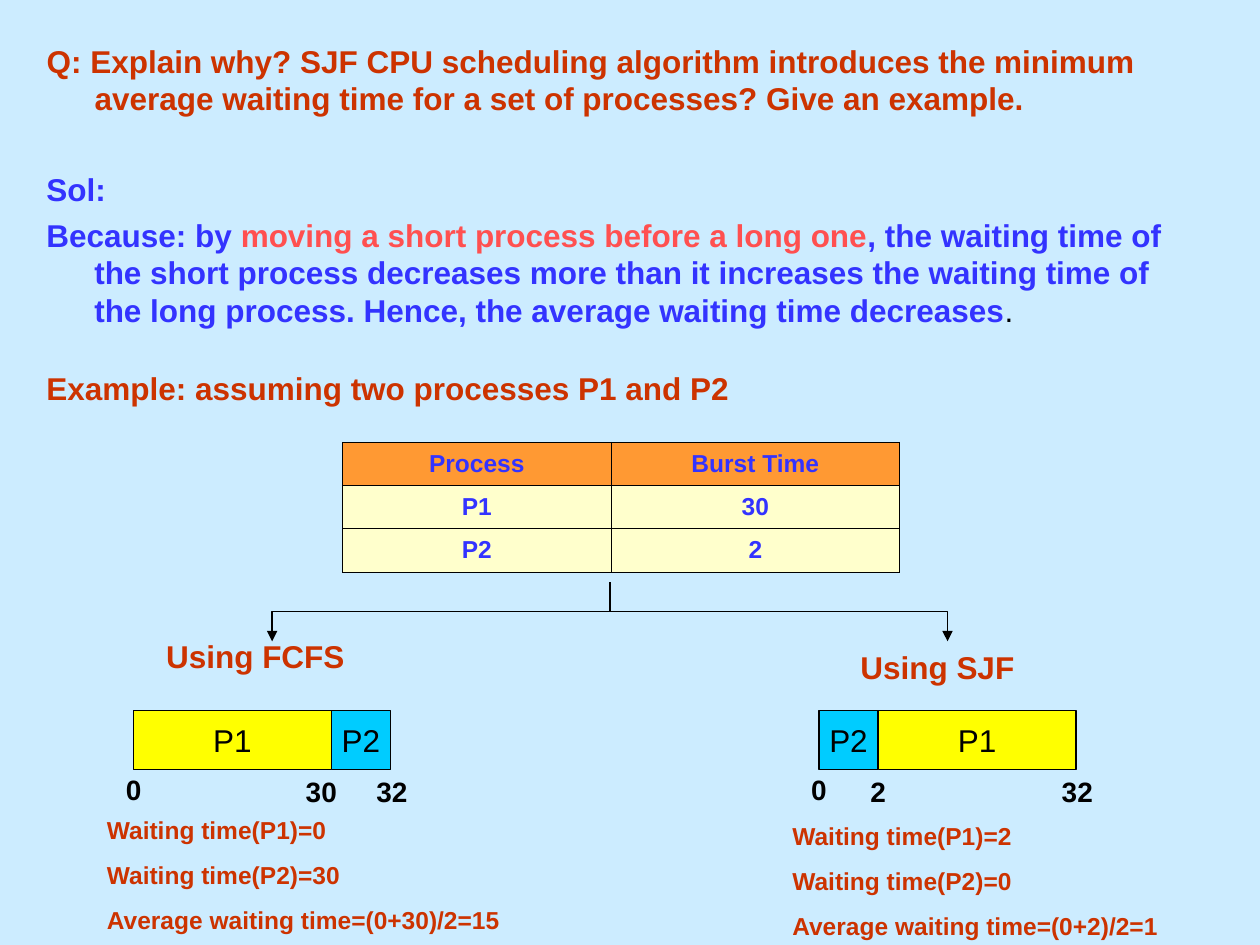
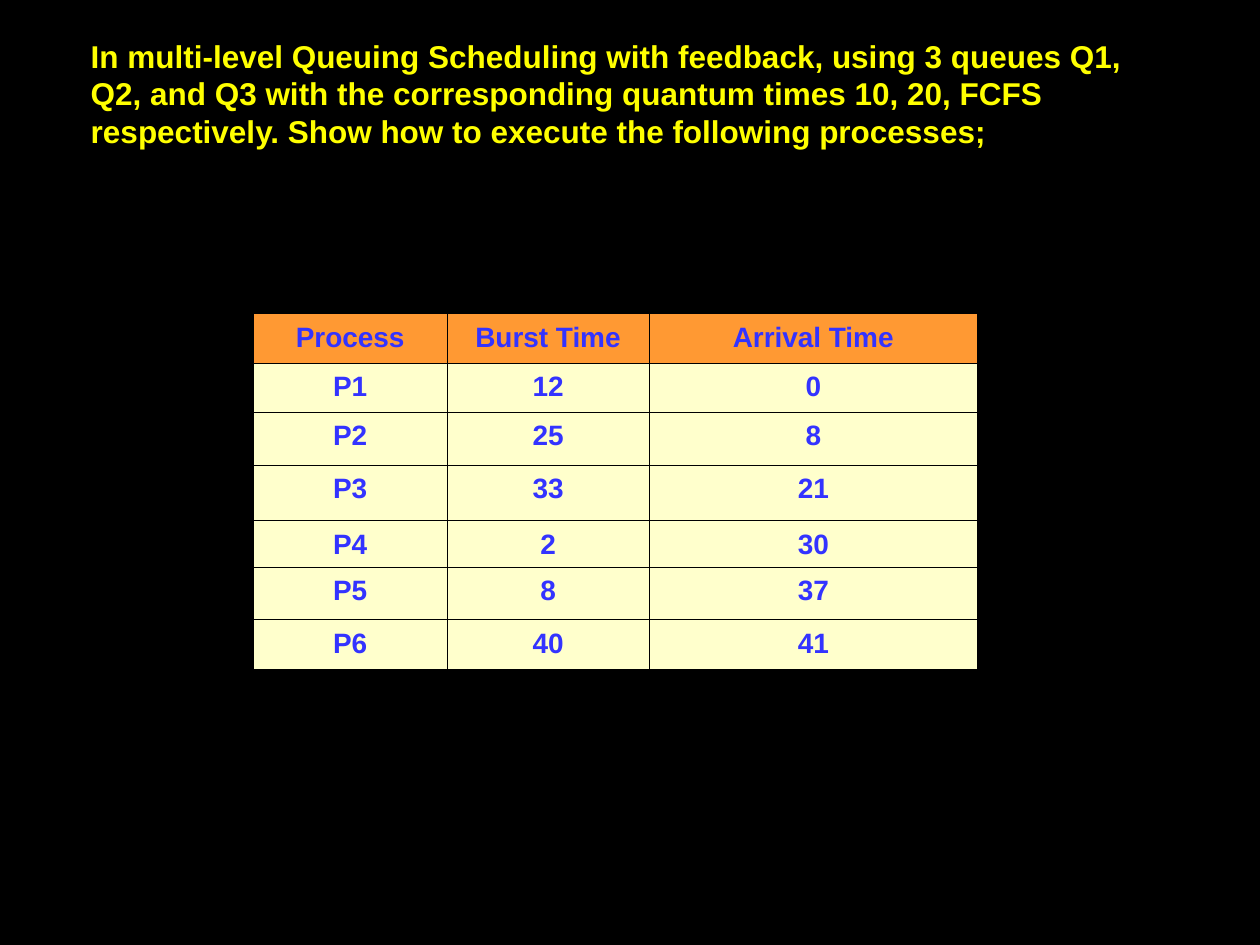
from pptx import Presentation
from pptx import util as u
from pptx.dml import color
from pptx.enum import shapes, text
from pptx.oxml import ns
from lxml import etree

FONT = "Arial"
BLACK, RUST, BLUE, CORAL = "000000", "CC3300", "3333FF", "FF5050"
YELLOW, CYAN, ORANGE, CREAM = "FFFF00", "00CCFF", "FF9933", "FFFFCC"
SKY = "CCECFF"
BAR_TOP, BAR_HEIGHT, MARK_WIDTH = 5.64, 0.47, 0.47
JOBS = {"P1": (1.57, YELLOW), "P2": (0.47, CYAN)}


def rgb(value):
    """Turn a hex string into a colour."""
    return color.RGBColor.from_string(value)


def box(left, top, width, height):
    """Convert a frame in inches to lengths."""
    return [u.Inches(v) for v in (left, top, width, height)]


def write(tf, *paragraphs, size=18, fill=BLACK, bold=True, align=text.PP_ALIGN.LEFT,
          gap=0, left=0, hanging=0):
    """Fill a frame with paragraphs, each a string or a list of (text, overrides) runs."""
    for i, runs in enumerate(paragraphs):
        p = tf.add_paragraph() if i else tf.paragraphs[0]
        p.alignment = align
        p.line_spacing = u.Pt(size * 1.2)
        p.space_before = u.Pt(gap if i else 0)
        if left or hanging:
            pPr = p._p.get_or_add_pPr()
            pPr.set("marL", str(u.Inches(left)))
            pPr.set("indent", str(u.Inches(-hanging)))
        for words, look in [(runs, {})] if isinstance(runs, str) else runs:
            r = p.add_run()
            r.text = words
            r.font.name, r.font.size = FONT, u.Pt(size)
            r.font.bold = look.get("bold", bold)
            r.font.color.rgb = rgb(look.get("fill", fill))


def add_text(s, frame, *paragraphs, **fmt):
    """Add a wrapping text box."""
    tf = s.shapes.add_textbox(*box(*frame)).text_frame
    tf.word_wrap = True
    write(tf, *paragraphs, **fmt)


def add_slide(prs, background, frame, question, **fmt):
    """Add a slide whose title holds the question."""
    s = prs.slides.add_slide(prs.slide_layouts[5])
    s.background.fill.solid()
    s.background.fill.fore_color.rgb = rgb(background)
    title = s.shapes.title
    title.left, title.top, title.width, title.height = box(*frame)
    tf = title.text_frame
    tf.auto_size = text.MSO_AUTO_SIZE.NONE
    tf.vertical_anchor = text.MSO_ANCHOR.TOP
    write(tf, question, **fmt)
    return s


def outline_cell(cell):
    """Draw thin black borders round a table cell."""
    tcPr = cell._tc.get_or_add_tcPr()
    for i, side in enumerate(("lnL", "lnR", "lnT", "lnB")):
        ln = etree.Element(ns.qn("a:" + side), w=str(u.Pt(0.34)))
        fill = etree.SubElement(ln, ns.qn("a:solidFill"))
        etree.SubElement(fill, ns.qn("a:srgbClr"), val=BLACK)
        tcPr.insert(i, ln)


def add_process_table(s, left, top, widths, heights, rows, size):
    """Add a table of processes with an orange heading row."""
    frame = box(left, top, sum(widths), sum(heights))
    table = s.shapes.add_table(len(rows), len(widths), *frame).table
    for column, width in zip(table.columns, widths):
        column.width = u.Inches(width)
    for i, (row, height) in enumerate(zip(rows, heights)):
        table.rows[i].height = u.Inches(height)
        for j, value in enumerate(row):
            cell = table.cell(i, j)
            cell.fill.solid()
            cell.fill.fore_color.rgb = rgb(CREAM if i else ORANGE)
            outline_cell(cell)
            write(cell.text_frame, value, size=size, fill=BLUE,
                  align=text.PP_ALIGN.CENTER)


def add_branch(s, start, end):
    """Draw a right-angled arrow down from start to end."""
    (x1, y1), (x2, y2) = start, end
    middle = (y1 + y2) / 2
    builder = s.shapes.build_freeform(u.Inches(x1), u.Inches(y1))
    points = [(x1, middle), (x2, middle), (x2, y2)]
    builder.add_line_segments([(u.Inches(x), u.Inches(y)) for x, y in points], close=False)
    sp = builder.convert_to_shape()
    sp.shadow.inherit = False
    sp.fill.background()
    sp.line.color.rgb = rgb(BLACK)
    sp.line.width = u.Pt(0.75)
    etree.SubElement(sp.line._get_or_add_ln(), ns.qn("a:tailEnd"), type="triangle")


def add_job(s, left, name):
    """Add one process bar to a schedule and return its width."""
    width, fill = JOBS[name]
    sp = s.shapes.add_shape(shapes.MSO_SHAPE.RECTANGLE,
                            *box(left, BAR_TOP, width, BAR_HEIGHT))
    sp.shadow.inherit = False
    sp.fill.solid()
    sp.fill.fore_color.rgb = rgb(fill)
    sp.line.color.rgb = rgb(BLACK)
    sp.line.width = u.Pt(0.75)
    tf = sp.text_frame
    tf.word_wrap = False
    tf.vertical_anchor = text.MSO_ANCHOR.MIDDLE
    write(tf, name, bold=False, align=text.PP_ALIGN.CENTER)
    return width


def add_schedule(s, left, order, marks, notes_top, notes):
    """Add a Gantt bar with its time marks and waiting times."""
    x = left
    for name in order:
        x += add_job(s, x, name)
    for i, (label, offset) in enumerate(marks):
        frame = (left + offset - MARK_WIDTH / 2, 6.1 if i else 6.08, MARK_WIDTH, 0.37)
        add_text(s, frame, label, size=16, align=text.PP_ALIGN.CENTER)
    add_text(s, (left - 0.31, notes_top, 3.54, 1.05), *notes, size=14, fill=RUST, gap=8.8)


def build_sjf_slide(prs):
    """Build the comparison of FCFS and SJF."""
    s = add_slide(prs, SKY, (0.27, 0.28, 9.15, 0.75),
                  "Q: Explain why? SJF CPU scheduling algorithm introduces the minimum "
                  "average waiting time for a set of processes? Give an example.",
                  fill=RUST, left=0.38, hanging=0.38)
    add_text(s, (0.27, 1.3, 9.15, 1.5), "Sol:",
             [("Because: by ", {}),
              ("moving a short process before a long one", {"fill": CORAL}),
              (", the waiting time of the short process decreases more than it increases "
               "the waiting time of the long process. Hence, the average waiting time "
               "decreases", {}),
              (".", {"fill": BLACK, "bold": False})],
             fill=BLUE, gap=4.5, left=0.38, hanging=0.38)
    add_text(s, (0.27, 2.88, 6.22, 0.4), "Example: assuming two processes P1 and P2", fill=RUST)
    add_process_table(s, 2.72, 3.51, (2.13, 2.29), (0.34, 0.34, 0.35),
                      [("Process", "Burst Time"), ("P1", "30"), ("P2", "2")], 14)
    for x in (2.16, 7.52):
        add_branch(s, (4.84, 4.62), (x, 5.09))
    add_text(s, (1.22, 5.01, 1.65, 0.4), "Using FCFS", fill=RUST)
    add_text(s, (6.73, 5.09, 1.65, 0.4), "Using SJF", fill=RUST)
    add_schedule(s, 1.06, ("P1", "P2"), [("0", 0), ("30", 1.49), ("32", 2.05)], 6.42,
                 ("Waiting time(P1)=0", "Waiting time(P2)=30",
                  "Average waiting time=(0+30)/2=15"))
    add_schedule(s, 6.5, ("P2", "P1"), [("0", 0), ("2", 0.47), ("32", 2.05)], 6.47,
                 ("Waiting time(P1)=2", "Waiting time(P2)=0",
                  "Average waiting time=(0+2)/2=1"))


def build_queue_slide(prs):
    """Build the multi-level queue exercise."""
    s = add_slide(prs, BLACK, (0.43, 0.24, 8.83, 1.07),
                  "In multi-level Queuing Scheduling with feedback, using 3 queues Q1, Q2, "
                  "and Q3 with the corresponding quantum times 10, 20, FCFS respectively. "
                  "Show how to execute the following processes;", fill=YELLOW, left=0.19)
    rows = [("Process", "Burst Time", "Arrival Time"), ("P1", "12", "0"), ("P2", "25", "8"),
            ("P3", "33", "21"), ("P4", "2", "30"), ("P5", "8", "37"), ("P6", "40", "41")]
    add_process_table(s, 2.01, 2.49, (1.54, 1.6, 2.61),
                      (0.39, 0.39, 0.42, 0.44, 0.37, 0.42, 0.39), rows, 16)


def main():
    """Build and save the presentation."""
    prs = Presentation()
    prs.slide_width, prs.slide_height = u.Inches(10), u.Inches(7.5)
    build_sjf_slide(prs)
    build_queue_slide(prs)
    prs.save("out.pptx")


if __name__ == "__main__":
    main()
